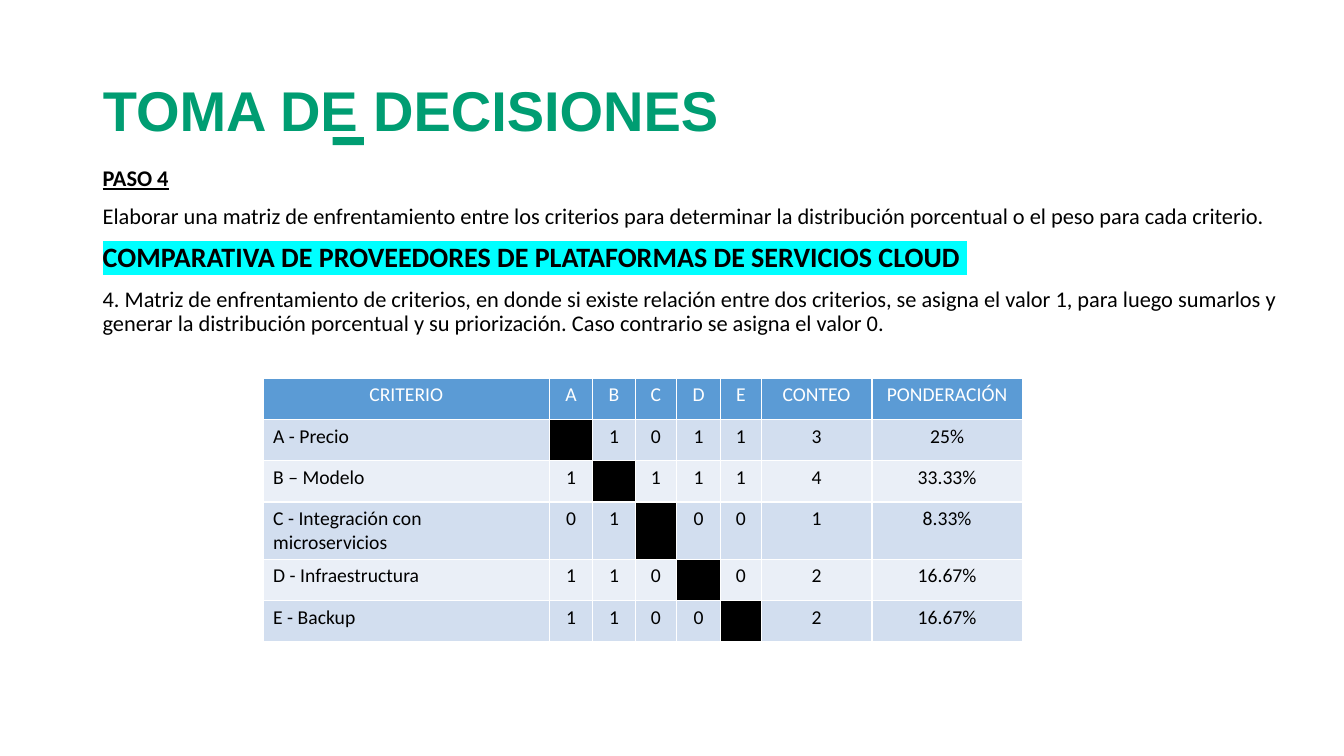
from lxml import etree
from pptx import Presentation
from pptx.dml.color import RGBColor
from pptx.enum.shapes import MSO_SHAPE as Shape
from pptx.enum.text import MSO_ANCHOR as Anchor, PP_ALIGN as Align
from pptx.oxml.ns import qn
from pptx.util import Inches, Pt

GREEN = RGBColor(0x00, 0x9D, 0x72)
BLACK = RGBColor(0x00, 0x00, 0x00)
WHITE = RGBColor(0xFF, 0xFF, 0xFF)
CYAN = RGBColor(0x00, 0xFF, 0xFF)
BLUE = RGBColor(0x5B, 0x9B, 0xD5)
BANDS = RGBColor(0xD2, 0xDE, 0xEF), RGBColor(0xEA, 0xEF, 0xF7)

# Text: words, size, bold, underline, highlight
LINES = [
    ("PASO 4", 16, True, True, None),
    ("Elaborar una matriz de enfrentamiento entre los criterios para determinar "
     "la distribución porcentual o el peso para cada criterio.", 16, False, False, None),
    ("COMPARATIVA DE PROVEEDORES DE PLATAFORMAS DE SERVICIOS CLOUD ",
     20, True, False, CYAN),
    ("4. Matriz de enfrentamiento de criterios, en donde si existe relación entre "
     "dos criterios, se asigna el valor 1, para luego sumarlos y generar la "
     "distribución porcentual y su priorización. Caso contrario se asigna el valor 0.",
     16, False, False, None),
]

# Matrix: the diagonal stays empty
ROWS = [
    ("CRITERIO", "A", "B", "C", "D", "E", "CONTEO", "PONDERACIÓN"),
    ("A - Precio", "", "1", "0", "1", "1", "3", "25%"),
    ("B – Modelo", "1", "", "1", "1", "1", "4", "33.33%"),
    ("C - Integración con microservicios", "0", "1", "", "0", "0", "1", "8.33%"),
    ("D - Infraestructura", "1", "1", "0", "", "0", "2", "16.67%"),
    ("E - Backup", "1", "1", "0", "0", "", "2", "16.67%"),
]
WIDTHS = [2.84, 0.43, 0.42, 0.41, 0.44, 0.4, 1.1, 1.49]
HEIGHT = 0.41


class Page:
    font = "Calibri"
    head = "Arial"

    def __init__(self, deck):
        self.slide = deck.slides.add_slide(deck.slide_layouts[5])

    def style(self, par, size, color, bold=False, font=None):
        for run in par.runs:
            run.font.name = font or self.font
            run.font.size = Pt(size)
            run.font.bold = bold
            run.font.color.rgb = color

    def mark(self, run, color):
        light = etree.Element(qn("a:highlight"))
        etree.SubElement(light, qn("a:srgbClr"), val=str(color))
        run.font.fill._xPr.find(qn("a:solidFill")).addnext(light)

    def title(self, text, x, y, w, h):
        box = self.slide.shapes.title
        box.left, box.top, box.width, box.height = map(Inches, (x, y, w, h))
        frame = box.text_frame
        frame.text = text
        frame.vertical_anchor = Anchor.MIDDLE
        par = frame.paragraphs[0]
        par.alignment = Align.LEFT
        par.line_spacing = 0.9
        self.style(par, 40, GREEN, True, self.head)

    def bar(self, x, y, w, h):
        bar = self.slide.shapes.add_shape(Shape.RECTANGLE, *map(Inches, (x, y, w, h)))
        bar.shadow.inherit = False
        bar.fill.solid()
        bar.fill.fore_color.rgb = GREEN
        bar.line.fill.background()

    def body(self, lines, x, y, w, h):
        frame = self.slide.shapes.add_textbox(*map(Inches, (x, y, w, h))).text_frame
        frame.word_wrap = True
        for i, (text, size, bold, under, light) in enumerate(lines):
            par = frame.add_paragraph() if i else frame.paragraphs[0]
            par.text = text
            par.line_spacing = 0.9
            par.space_before = Pt(10)
            self.style(par, size, BLACK, bold)
            for run in par.runs:
                run.font.underline = under
                if light:
                    self.mark(run, light)

    def edge(self, cell):
        props = cell._tc.get_or_add_tcPr()
        for side in "LRTB":
            line = etree.SubElement(props, qn("a:ln" + side), w=str(Pt(1)))
            fill = etree.SubElement(line, qn("a:solidFill"))
            etree.SubElement(fill, qn("a:srgbClr"), val=str(WHITE))

    def matrix(self, rows, widths, x, y):
        size = Inches(sum(widths)), Inches(HEIGHT * len(rows))
        grid = self.slide.shapes.add_table(
            len(rows), len(widths), Inches(x), Inches(y), *size).table
        for col, width in zip(grid.columns, widths):
            col.width = Inches(width)
        for r, row in enumerate(rows):
            grid.rows[r].height = Inches(HEIGHT)
            for c, text in enumerate(row):
                cell = grid.cell(r, c)
                self.edge(cell)
                cell.fill.solid()
                back = BLUE if r == 0 else BLACK if r == c else BANDS[(r - 1) % 2]
                cell.fill.fore_color.rgb = back
                cell.text_frame.text = text
                par = cell.text_frame.paragraphs[0]
                par.alignment = Align.LEFT if r and c == 0 else Align.CENTER
                self.style(par, 14, BLACK if r else WHITE)


def main():
    deck = Presentation()
    deck.slide_width, deck.slide_height = Inches(13.33), Inches(7.5)
    page = Page(deck)

    # Heading
    page.title("TOMA DE DECISIONES", 0.92, 0.4, 11.31, 1.45)
    page.bar(3.3, 1.36, 0.31, 0.08)

    # Step and matrix
    page.body(LINES, 0.92, 1.61, 11.9, 2.14)
    page.matrix(ROWS, WIDTHS, 2.61, 3.75)
    deck.save("out.pptx")


if __name__ == "__main__":
    main()
